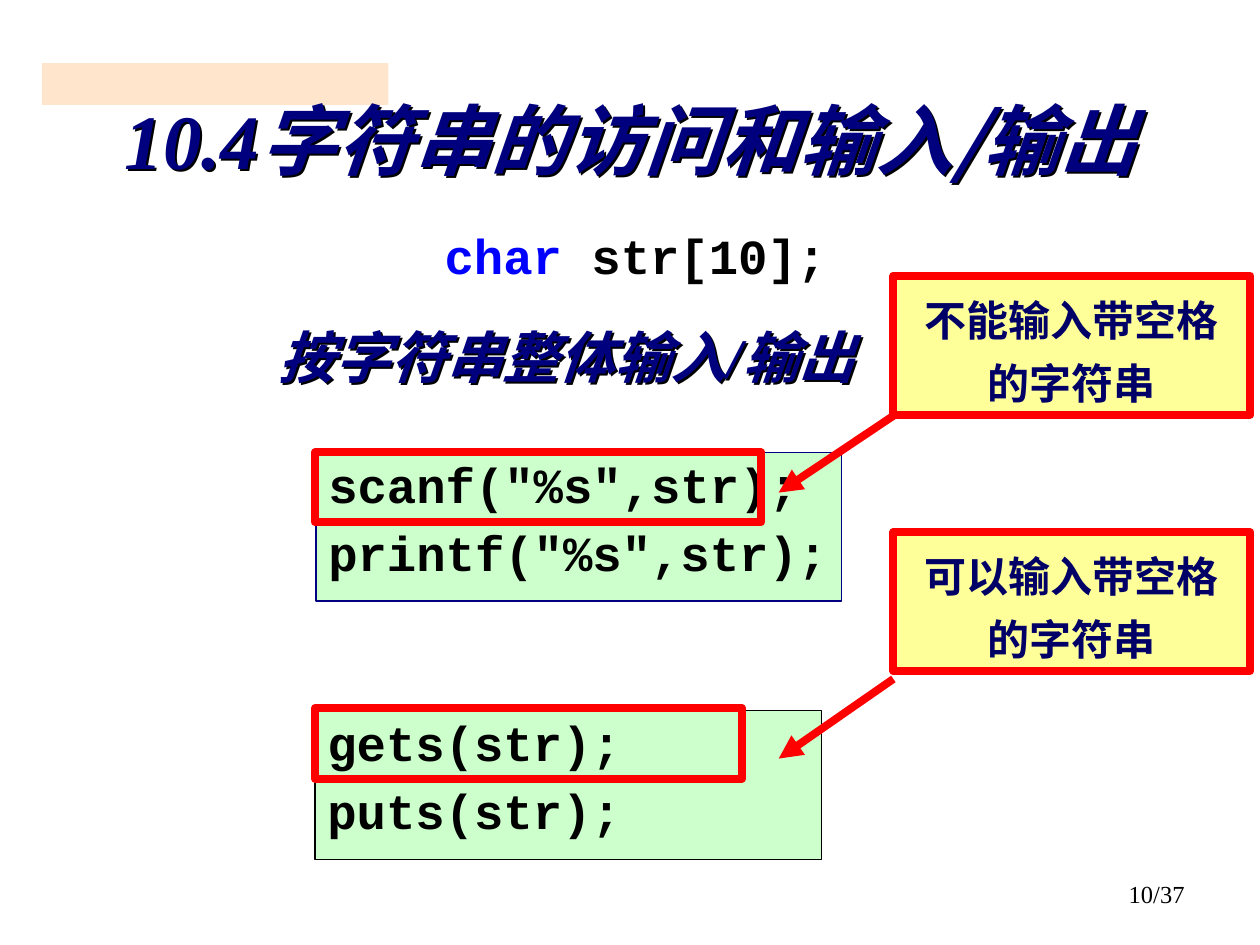
from lxml.etree import SubElement
from pptx import Presentation
from pptx.dml.color import RGBColor
from pptx.enum.shapes import MSO_CONNECTOR, MSO_SHAPE
from pptx.enum.text import MSO_ANCHOR, PP_ALIGN
from pptx.oxml.ns import qn
from pptx.util import Pt

COLORS = {
    "band": "FFCC99", "heading": "00007F", "black": "000000",
    "keyword": "0000FF", "code": "CCFFCC", "navy": "000080",
    "red": "FF0000", "note": "FFFF99", "note text": "000066",
}
SERIF, SANS, MONO = "Times New Roman", "Noto Sans CJK SC", "Courier New"

# Content: each place is left, top, width, height
BAND = (24, 36, 198, 24)
HEADINGS = [
    ((140.5, 173.5, 366.5, 66), 32, [("按字符串整体输入/输出", SERIF)]),
    ((53.5, 50.5, 614, 66), 44, [("10.4", SERIF), ("字符串的访问和输入/输出", SANS)]),
]
DECLARATION = ((247, 128, 238.5, 51), [("char", "keyword"), (" str[10];", "black")])
EXAMPLES = [
    {"place": (180.5, 258.5, 300.5, 85), "outline": "navy",
     "code": ['scanf("%s",str);', 'printf("%s",str);'],
     "frame": (180, 258.5, 255, 40),
     "note": "不能输入带空格的字符串", "note top": 157.5,
     "arrow": (237.6, 281.5)},
    {"place": (180, 406, 289.5, 85), "outline": "black",
     "code": ["gets(str);", "puts(str);"],
     "frame": (180, 404.5, 244, 40.5),
     "note": "可以输入带空格的字符串", "note top": 304,
     "arrow": (388, 433.5)},
]
NOTE_LEFT, NOTE_WIDTH, NOTE_HEIGHT = 510.5, 204, 79.5
ARROW_TIP = 445
PAGE = ((516, 499, 168, 37.5), "10/37")


def rgb(name):
    return RGBColor.from_string(COLORS[name])


def add_box(place, fill=None, outline=None, width=0.75):
    box = slide.shapes.add_shape(MSO_SHAPE.RECTANGLE, *map(Pt, place))
    box.shadow.inherit = False
    if fill:
        box.fill.solid()
        box.fill.fore_color.rgb = rgb(fill)
    else:
        box.fill.background()
    if outline:
        box.line.color.rgb = rgb(outline)
        box.line.width = Pt(width)
    else:
        box.line.fill.background()
    return box


def text_frame(shape, anchor=MSO_ANCHOR.TOP):
    frame = shape.text_frame
    frame.word_wrap = True
    frame.vertical_anchor = anchor
    return frame


def add_text(place):
    return slide.shapes.add_textbox(*map(Pt, place))


def set_font(font, name, size, color=None, bold=True):
    font.name, font.size, font.bold = name, Pt(size), bold
    if color:
        font.color.rgb = rgb(color)


def add_letter_shadow(text_box):
    # An unfilled box casts its shadow from the letters
    effects = SubElement(text_box._element.spPr, qn("a:effectLst"))
    shadow = SubElement(effects, qn("a:outerShdw"), blurRad="0",
                        dist=str(Pt(1.6)), dir="2700000", algn="ctr",
                        rotWithShape="0")
    SubElement(shadow, qn("a:srgbClr"), val=COLORS["black"])


def add_arrow(start, end):
    arrow = slide.shapes.add_connector(MSO_CONNECTOR.STRAIGHT, *map(Pt, start + end))
    arrow.line.color.rgb = rgb("red")
    arrow.line.width = Pt(4.5)
    SubElement(arrow.line._get_or_add_ln(), qn("a:tailEnd"), type="triangle")
    SubElement(arrow._element.spPr, qn("a:effectLst"))


presentation = Presentation()
presentation.slide_width, presentation.slide_height = Pt(720), Pt(540)
slide = presentation.slides.add_slide(presentation.slide_layouts[6])

# Page number and translucent band
page_place, page_number = PAGE
paragraph = text_frame(add_text(page_place)).paragraphs[0]
paragraph.text = page_number
paragraph.alignment = PP_ALIGN.RIGHT
set_font(paragraph.font, SERIF, 14, "black", bold=False)

band = add_box(BAND, "band")
band_color = band._element.spPr.find(qn("a:solidFill"))[0]
SubElement(band_color, qn("a:alpha"), val="50000")

# Headings with shadowed letters
for place, size, parts in HEADINGS:
    heading = add_text(place)
    add_letter_shadow(heading)
    paragraph = text_frame(heading, MSO_ANCHOR.MIDDLE).paragraphs[0]
    paragraph.alignment = PP_ALIGN.CENTER
    paragraph.line_spacing = 0.85
    for words, typeface in parts:
        run = paragraph.add_run()
        run.text = words
        set_font(run.font, typeface, size, "heading")
        run.font.italic = True

# Declaration
declaration_place, declaration_parts = DECLARATION
paragraph = text_frame(add_text(declaration_place)).paragraphs[0]
paragraph.line_spacing = 0.95
set_font(paragraph.font, MONO, 28)
for words, color in declaration_parts:
    run = paragraph.add_run()
    run.text = words
    run.font.color.rgb = rgb(color)

# Code boxes, each with a framed call, an arrow and a note
for example in EXAMPLES:
    code = text_frame(add_box(example["place"], "code", example["outline"]))
    for number, line in enumerate(example["code"]):
        paragraph = code.add_paragraph() if number else code.paragraphs[0]
        paragraph.text = line
        paragraph.alignment = PP_ALIGN.LEFT
        paragraph.line_spacing = 0.95
        if number:
            paragraph.space_before = Pt(7)
        set_font(paragraph.font, MONO, 28, "black")

    arrow_top, arrow_bottom = example["arrow"]
    add_arrow((NOTE_LEFT, arrow_top), (ARROW_TIP, arrow_bottom))

    note_box = add_box((NOTE_LEFT, example["note top"], NOTE_WIDTH, NOTE_HEIGHT),
                       "note", "red", 4.5)
    paragraph = text_frame(note_box).paragraphs[0]
    paragraph.text = example["note"]
    paragraph.alignment = PP_ALIGN.CENTER
    paragraph.line_spacing = 1.25
    set_font(paragraph.font, SERIF, 24, "note text")

    add_box(example["frame"], outline="red", width=4.5)

presentation.save("out.pptx")
